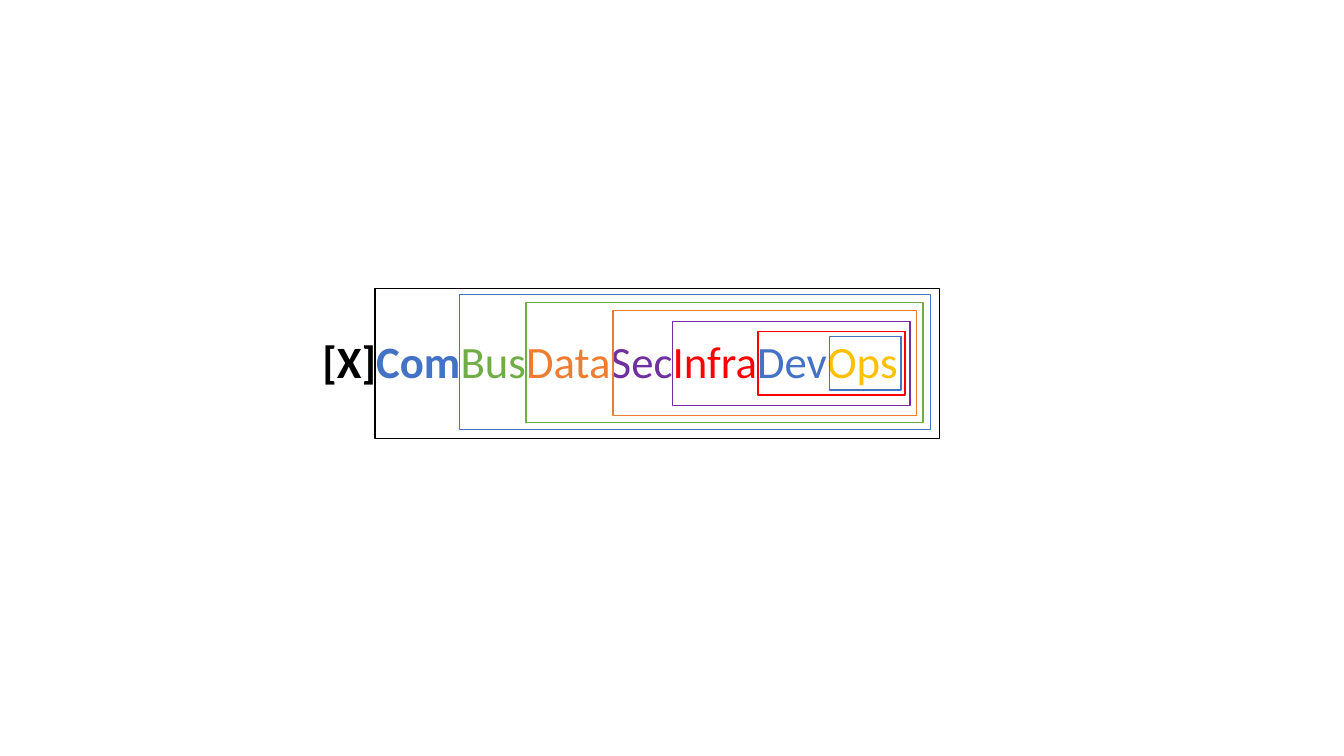
"""Build a slide of nested frames around a chain of team names."""
from dataclasses import dataclass

from pptx import Presentation
from pptx.dml.color import RGBColor
from pptx.enum import shapes as kinds, text as txt
from pptx.util import Pt

BLACK = RGBColor(0x00, 0x00, 0x00)
BLUE = RGBColor(0x44, 0x72, 0xC4)
GREEN = RGBColor(0x70, 0xAD, 0x47)
ORANGE = RGBColor(0xED, 0x7D, 0x31)
PURPLE = RGBColor(0x70, 0x30, 0xA0)
RED = RGBColor(0xFF, 0x00, 0x00)
GOLD = RGBColor(0xFF, 0xC0, 0x00)

FONT = "Calibri"
SIZE = 32
LINE = 1


@dataclass(frozen=True)
class Box:
    """A place on the slide, in points."""
    left: float
    top: float
    width: float
    height: float

    def points(self) -> tuple:
        """Return the four lengths as Pt values."""
        return tuple(map(Pt, (self.left, self.top, self.width, self.height)))


@dataclass(frozen=True)
class Team:
    """A word and the frame, in its colour, around all later words."""
    name: str
    hue: RGBColor
    frame: Box | None = None
    bold: bool = False


CHAIN = Box(223.2, 234.7, 429.1, 46.1)
TEAMS = (
    Team("[X]", BLACK, Box(267.8, 205.9, 403.2, 107.3), bold=True),
    Team("Com", BLUE, Box(328.3, 210.2, 336.2, 96.5), bold=True),
    Team("Bus", GREEN, Box(375.8, 216, 283.7, 85.7)),
    Team("Data", ORANGE, Box(437.8, 221.8, 216.7, 74.9)),
    Team("Sec", PURPLE, Box(480.2, 229.7, 169.9, 59.8)),
    Team("Infra", RED, Box(541.4, 236.9, 105.1, 45.4)),
    Team("Dev", BLUE, Box(592.6, 240.5, 51.1, 38.2)),
    Team("Ops", GOLD),
)


def add_run(para, words: str, *, hue: RGBColor, bold: bool = False,
            size: float = SIZE, font: str = FONT) -> None:
    """Add formatted text to a paragraph."""
    run = para.add_run()
    run.text = words
    run.font.name = font
    run.font.size = Pt(size)
    run.font.bold = bold
    run.font.color.rgb = hue


def add_chain(slide, box: Box, teams: tuple[Team, ...]) -> None:
    """Write all team names as one line of text."""
    frame = slide.shapes.add_textbox(*box.points()).text_frame
    frame.word_wrap = False
    frame.auto_size = txt.MSO_AUTO_SIZE.SHAPE_TO_FIT_TEXT
    for team in teams:
        add_run(frame.paragraphs[0], team.name, hue=team.hue, bold=team.bold)


def add_frame(slide, box: Box, hue: RGBColor) -> None:
    """Draw an unfilled rectangle."""
    rect = slide.shapes.add_shape(kinds.MSO_SHAPE.RECTANGLE, *box.points())
    rect.shadow.inherit = False
    rect.fill.background()
    rect.line.color.rgb = hue
    rect.line.width = Pt(LINE)


def main() -> None:
    """Build and save the deck."""
    deck = Presentation()
    deck.slide_width, deck.slide_height = Pt(960), Pt(540)
    slide = deck.slides.add_slide(deck.slide_layouts[6])
    add_chain(slide, CHAIN, TEAMS)
    for team in TEAMS:
        if team.frame:
            add_frame(slide, team.frame, team.hue)
    deck.save("out.pptx")


main()
